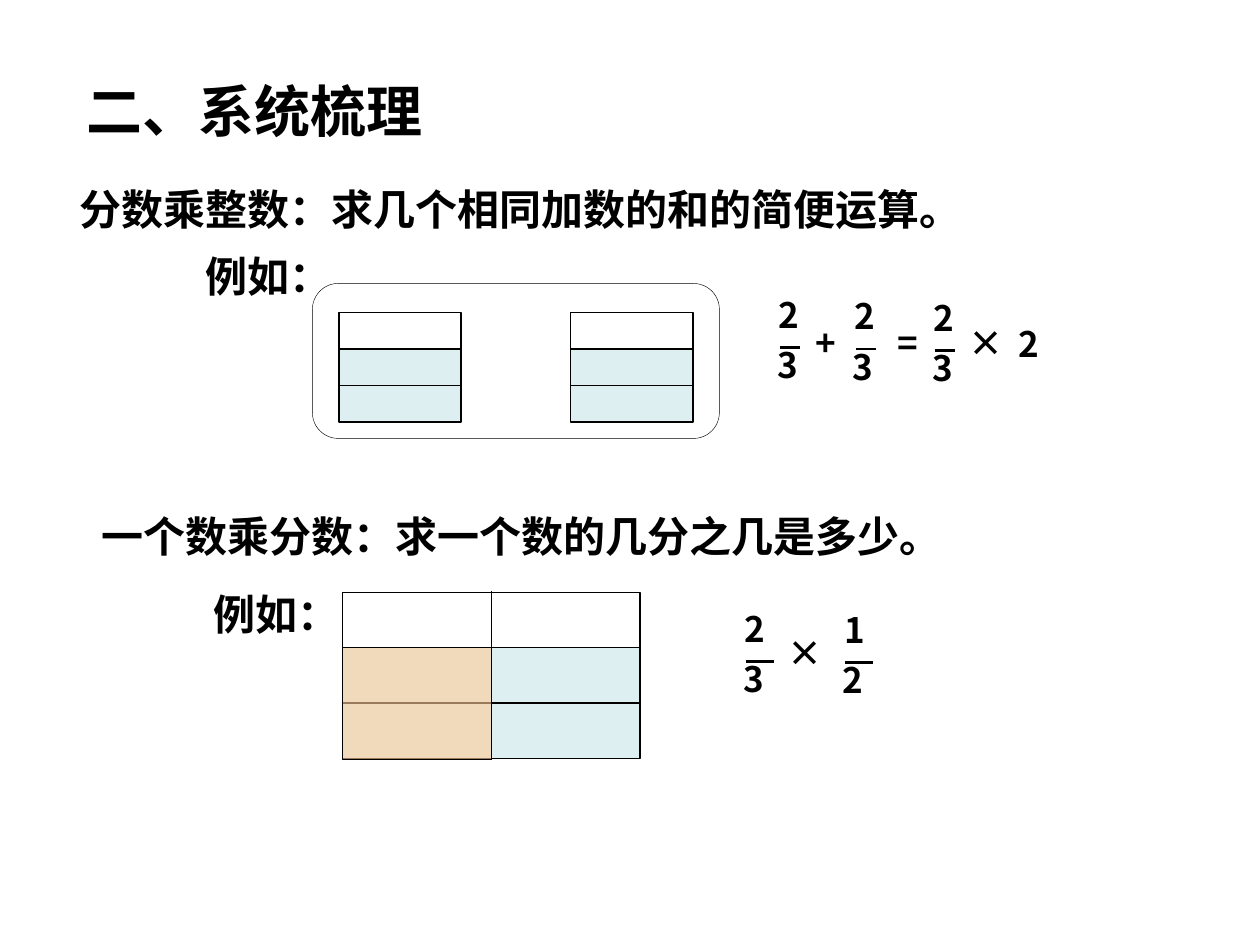
from lxml import etree
from pptx import Presentation
from pptx.dml.color import RGBColor
from pptx.enum import shapes, text
from pptx.oxml import ns
from pptx.util import Inches, Pt

FONT = "Noto Sans CJK SC"
BLACK, BLUE, ORANGE = "000000", "BBE0E3", "FFCC99"


def rgb(value):
    return RGBColor.from_string(value)


class Board:
    """Draws styled text, boxes, lines and fractions on one slide."""

    def __init__(self, s):
        self.s = s

    def text(self, content, x, y, w, h=0.5, size=24, inset=(0.1, 0.05), wrap=False, grow=True, before=0):
        sp = self.s.shapes.add_textbox(Inches(x), Inches(y), Inches(w), Inches(h))
        tf = sp.text_frame
        tf.text = content
        tf.word_wrap = wrap
        tf.margin_left = tf.margin_right = Inches(inset[0])
        tf.margin_top = tf.margin_bottom = Inches(inset[1])
        if grow:
            tf.auto_size = text.MSO_AUTO_SIZE.SHAPE_TO_FIT_TEXT
        else:
            tf.vertical_anchor = text.MSO_ANCHOR.MIDDLE
        p = tf.paragraphs[0]
        if before:
            p.space_before = Pt(before)
        r = p.runs[0]
        r.font.name, r.font.size, r.font.bold = FONT, Pt(size), True
        r.font.color.rgb = rgb(BLACK)
        etree.SubElement(r.font._element, ns.qn("a:ea"), typeface=FONT)

    def symbol(self, content, x, y, w=0.17, wrap=False):
        self.text(content, x, y, w, 0.33, 20, (0, 0), wrap)

    def box(self, x, y, w, h, fill=None, alpha=49, line=0.74, kind=shapes.MSO_SHAPE.RECTANGLE):
        sp = self.s.shapes.add_shape(kind, Inches(x), Inches(y), Inches(w), Inches(h))
        sp.shadow.inherit = False
        sp.line.color.rgb, sp.line.width = rgb(BLACK), Pt(line)
        if fill:
            sp.fill.solid()
            sp.fill.fore_color.rgb = rgb(fill)
            color = sp._element.spPr.find(".//" + ns.qn("a:srgbClr"))
            etree.SubElement(color, ns.qn("a:alpha"), val=str(alpha * 1000))
        else:
            sp.fill.background()

    def line(self, x1, y1, x2, y2, width):
        ln = self.s.shapes.add_connector(
            shapes.MSO_CONNECTOR.STRAIGHT, Inches(x1), Inches(y1), Inches(x2), Inches(y2))
        ln.line.color.rgb, ln.line.width = rgb(BLACK), Pt(width)
        etree.SubElement(ln._element.spPr, ns.qn("a:effectLst"))

    def thirds(self, x, y, w, h):
        for row, fill in enumerate((None, BLUE, BLUE)):
            self.box(x, y + row * h, w, h, fill)

    def fraction(self, top, bottom, x, y, bar):
        self.line(x, y, x + bar, y, 1.5)
        self.symbol(bottom, x - 0.02, y - 0.03)
        self.symbol(top, x - 0.01, y - 0.43)


prs = Presentation()
prs.slide_width, prs.slide_height = Inches(10), Inches(7.5)
b = Board(prs.slides.add_slide(prs.slide_layouts[6]))

b.text("二、系统梳理", 0.59, 0.59, 3.62, 0.56, 32, wrap=True, grow=False)
b.text("分数乘整数：求几个相同加数的和的简便运算。", 0.53, 1.41, 7.2)
b.text("一个数乘分数：求一个数的几分之几是多少。", 0.71, 4, 6.86)
for x, y in ((1.53, 1.94), (1.6, 4.62)):
    b.text("例如：", x, y, 1.26, wrap=True, before=15)

b.box(2.48, 2.25, 3.23, 1.23, line=0.26, kind=shapes.MSO_SHAPE.ROUNDED_RECTANGLE)
for x in (2.69, 4.53):
    b.thirds(x, 2.48, 0.97, 0.29)

for x, y in ((6.19, 2.76), (6.79, 2.77), (7.42, 2.78)):
    b.fraction("2", "3", x, y, 0.16)
b.symbol("+", 6.47, 2.55)
b.symbol("=", 7.12, 2.55)
b.symbol("×", 7.69, 2.55, 0.31, True)
b.symbol("2", 8.08, 2.56)

b.thirds(2.72, 4.7, 2.36, 0.44)
b.line(3.9, 4.69, 3.9, 6.03, 0.74)
b.box(2.72, 5.14, 1.18, 0.89, ORANGE, 60)

b.fraction("2", "3", 5.92, 5.25, 0.22)
b.symbol("×", 6.25, 5.01, 0.4, True)
b.fraction("1", "2", 6.71, 5.26, 0.22)

prs.save("out.pptx")
